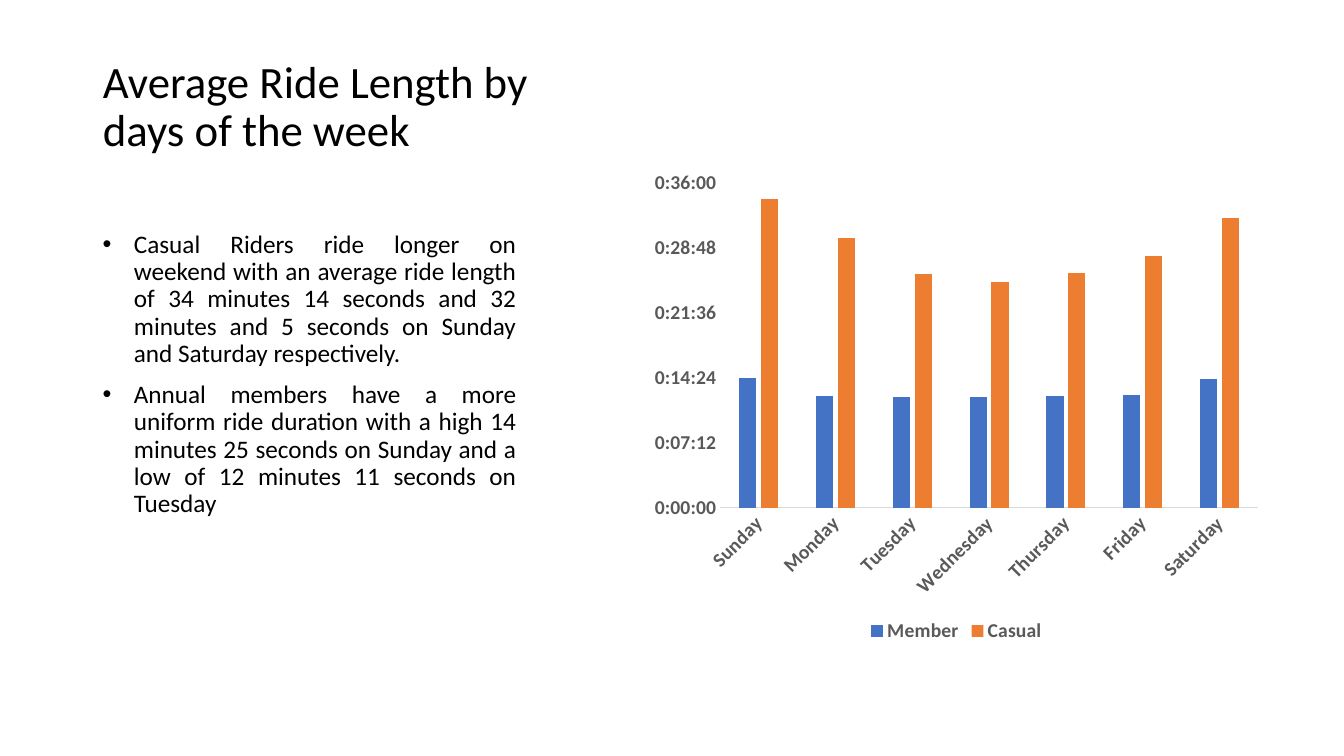
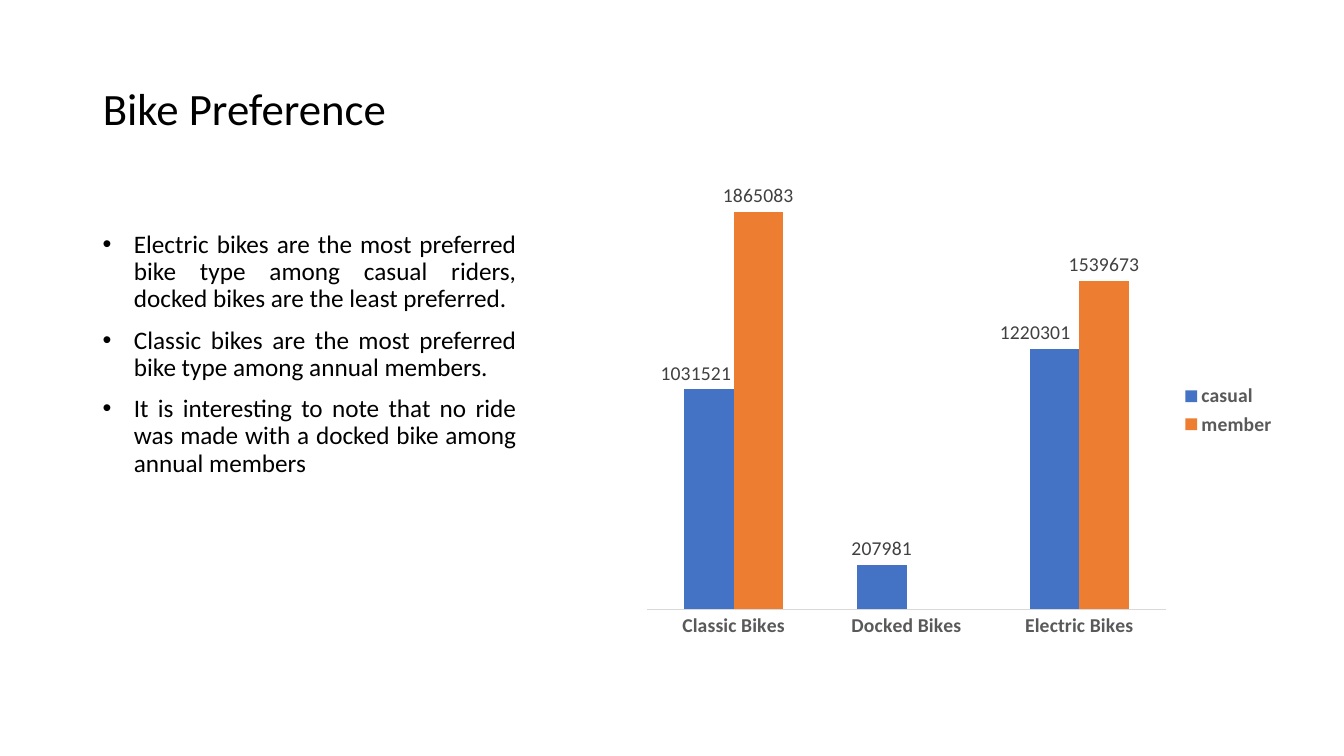
"""Build two bike-share slides, each with a title, bullets and a column chart."""
from dataclasses import dataclass
from typing import Optional

from lxml import etree
from pptx import Presentation
from pptx.chart.data import CategoryChartData
from pptx.dml.color import RGBColor
from pptx.enum.chart import XL_CHART_TYPE, XL_LABEL_POSITION, XL_LEGEND_POSITION, XL_TICK_MARK
from pptx.enum.text import MSO_ANCHOR, MSO_AUTO_SIZE, PP_ALIGN
from pptx.oxml.ns import qn
from pptx.util import Inches, Pt

COLUMNS = XL_CHART_TYPE.COLUMN_CLUSTERED
OUTSIDE_END = XL_LABEL_POSITION.OUTSIDE_END
BOTTOM, RIGHT = XL_LEGEND_POSITION.BOTTOM, XL_LEGEND_POSITION.RIGHT
NO_TICK = XL_TICK_MARK.NONE
ANCHOR_BOTTOM = MSO_ANCHOR.BOTTOM
NO_AUTOFIT = MSO_AUTO_SIZE.NONE
LEFT, JUSTIFY = PP_ALIGN.LEFT, PP_ALIGN.JUSTIFY

FONT = "Calibri"
BLACK, AXIS_GREY, LABEL_GREY, LINE_GREY = "000000", "595959", "404040", "D9D9D9"
SERIES_COLORS = ("4472C4", "ED7D31")
TEXT_LEFT = 0.92
BULLET_BOX = (TEXT_LEFT, 2.25, 4.3, 4.17)
BULLET_INDENT = 0.31
TITLE_ONLY = 5

Box = tuple[float, float, float, float]


@dataclass(frozen=True)
class ColumnChart:
    """Data and look of one clustered column chart."""
    box: Box
    categories: tuple[str, ...]
    series: dict[str, tuple[Optional[float], ...]]
    legend: XL_LEGEND_POSITION
    gap: int
    overlap: int = 0
    value_format: str = ""
    category_angle: int = 0
    label_shifts: tuple[tuple[int, float], ...] = ()


@dataclass(frozen=True)
class ChartPage:
    """Content of one slide."""
    title: str
    title_box: Box
    bullets: tuple[str, ...]
    chart: ColumnChart


PAGES = (
    ChartPage(
        "Average Ride Length by days of the week",
        (TEXT_LEFT, 0.43, 4.51, 1.17),
        (
            "Casual Riders ride longer on weekend with an average ride length of 34 minutes "
            "14 seconds and 32 minutes and 5 seconds on Sunday and Saturday respectively.",
            "Annual members have a more uniform ride duration with a high 14 minutes "
            "25 seconds on Sunday and a low of 12 minutes 11 seconds on Tuesday",
        ),
        ColumnChart(
            (6.37, 1.6, 6.23, 4.82),
            ("Sunday", "Monday", "Tuesday", "Wednesday", "Thursday", "Friday", "Saturday"),
            {
                "Member": (0.01, 0.0086, 0.0085, 0.0085, 0.0086, 0.0087, 0.0099),
                "Casual": (0.0238, 0.0208, 0.018, 0.0174, 0.0181, 0.0194, 0.0223),
            },
            BOTTOM, gap=219, overlap=-27, value_format="[h]:mm:ss;@", category_angle=-45,
        ),
    ),
    ChartPage(
        "Bike Preference",
        (TEXT_LEFT, 0.55, 4.3, 0.84),
        (
            "Electric bikes are the most preferred bike type among casual riders, "
            "docked bikes are the least preferred.",
            "Classic bikes are the most preferred bike type among annual members.",
            "It is interesting to note that no ride was made with a docked bike among "
            "annual members",
        ),
        ColumnChart(
            (6.29, 1.72, 6.47, 4.7),
            ("Classic Bikes", "Docked Bikes", "Electric Bikes"),
            {
                "casual": (1031521, 207981, 1220301),
                "member": (1865083, None, 1539673),
            },
            RIGHT, gap=150, label_shifts=((0, -0.02), (2, -0.03)),
        ),
    ),
)


def rgb(color: str) -> RGBColor:
    """Turn a hex string into a colour."""
    return RGBColor.from_string(color)


def style_font(font, size: float, color: str, bold: bool = False) -> None:
    """Apply the deck's typeface with a size, colour and weight."""
    font.name, font.size, font.bold = FONT, Pt(size), bold
    font.color.rgb = rgb(color)


def add_title(page, text: str, box: Box) -> None:
    """Fill and place the title placeholder."""
    title = page.shapes.title
    title.left, title.top, title.width, title.height = map(Inches, box)
    frame = title.text_frame
    frame.text = text
    frame.word_wrap, frame.auto_size = True, NO_AUTOFIT
    frame.vertical_anchor = ANCHOR_BOTTOM
    para = frame.paragraphs[0]
    para.alignment, para.line_spacing = LEFT, 0.9
    style_font(para.runs[0].font, 32, BLACK)


def add_bullets(page, bullets: tuple[str, ...]) -> None:
    """Add the justified bullet list."""
    frame = page.shapes.add_textbox(*map(Inches, BULLET_BOX)).text_frame
    frame.word_wrap = True
    frame.text = "\n".join(bullets)
    for para in frame.paragraphs:
        para.alignment, para.line_spacing, para.space_before = JUSTIFY, 0.9, Pt(10)
        style_font(para.runs[0].font, 18, BLACK)
        properties = para._p.get_or_add_pPr()
        properties.set("marL", str(Inches(BULLET_INDENT)))
        properties.set("indent", str(-Inches(BULLET_INDENT)))
        etree.SubElement(properties, qn("a:buFont")).set("typeface", "Arial")
        etree.SubElement(properties, qn("a:buChar")).set("char", "•")


def style_axes(chart, content: ColumnChart) -> None:
    """Format the category axis and show or hide the value axis."""
    category, value = chart.category_axis, chart.value_axis
    category.major_tick_mark = value.major_tick_mark = NO_TICK
    category.format.line.color.rgb = rgb(LINE_GREY)
    category.format.line.width = Pt(0.75)
    style_font(category.tick_labels.font, 14, AXIS_GREY, bold=True)
    if content.category_angle:
        body = category._element.find(qn("c:txPr")).find(qn("a:bodyPr"))
        body.set("rot", str(content.category_angle * 60000))
    value.has_major_gridlines = False
    value.visible = bool(content.value_format)
    if value.visible:
        value.format.line.fill.background()
        style_font(value.tick_labels.font, 14, AXIS_GREY, bold=True)
        value.tick_labels.number_format = content.value_format
        value.tick_labels.number_format_is_linked = False


def add_value_labels(series) -> None:
    """Show each value above its column."""
    labels = series.data_labels
    labels.show_value, labels.position = True, OUTSIDE_END
    style_font(labels.font, 14, LABEL_GREY)


def shift_label(series, index: int, shift: float) -> None:
    """Move one value label sideways by a share of the chart width."""
    label = series.points[index].data_label
    label.position = OUTSIDE_END
    style_font(label.font, 14, LABEL_GREY)
    for element in series._element.iter(qn("c:dLbl")):
        position = element.find(qn("c:idx"))
        if position.get("val") == str(index):
            layout = etree.Element(qn("c:layout"))
            manual = etree.SubElement(layout, qn("c:manualLayout"))
            etree.SubElement(manual, qn("c:x")).set("val", str(shift))
            etree.SubElement(manual, qn("c:y")).set("val", "0")
            position.addnext(layout)


def add_column_chart(page, content: ColumnChart) -> None:
    """Add the column chart with its axes, legend and labels."""
    data = CategoryChartData()
    data.categories = content.categories
    for name, values in content.series.items():
        data.add_series(name, values)
    chart = page.shapes.add_chart(COLUMNS, *map(Inches, content.box), data).chart
    style_font(chart.font, 10, BLACK)
    chart.has_title = False
    chart.has_legend = True
    chart.legend.position, chart.legend.include_in_layout = content.legend, False
    style_font(chart.legend.font, 14, AXIS_GREY, bold=True)
    style_axes(chart, content)
    plot = chart.plots[0]
    plot.gap_width, plot.overlap, plot.vary_by_categories = content.gap, content.overlap, False
    for series, color in zip(plot.series, SERIES_COLORS):
        series.format.fill.solid()
        series.format.fill.fore_color.rgb = rgb(color)
        if not content.value_format:
            add_value_labels(series)
    for index, shift in content.label_shifts:
        shift_label(plot.series[0], index, shift)


def main() -> None:
    """Build and save the deck."""
    deck = Presentation()
    deck.slide_width, deck.slide_height = Inches(13.33), Inches(7.5)
    for content in PAGES:
        page = deck.slides.add_slide(deck.slide_layouts[TITLE_ONLY])
        add_title(page, content.title, content.title_box)
        add_bullets(page, content.bullets)
        add_column_chart(page, content.chart)
    deck.save("out.pptx")


if __name__ == "__main__":
    main()
